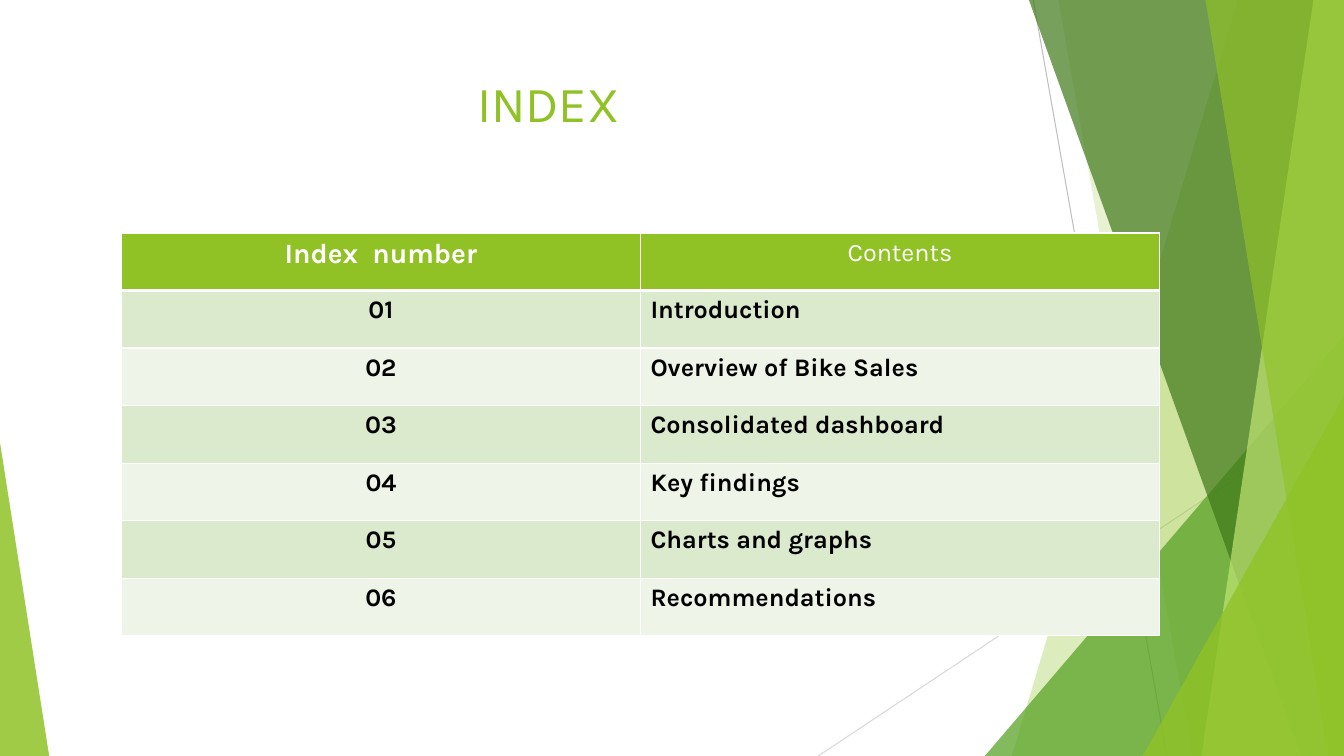
from dataclasses import dataclass

import pptx
import pptx.dml.color
import pptx.enum.shapes
import pptx.enum.text
import pptx.oxml
import pptx.oxml.ns
import pptx.util
from lxml import etree

Cm = pptx.util.Cm
Pt = pptx.util.Pt
qn = pptx.oxml.ns.qn
CENTER = pptx.enum.text.PP_ALIGN.CENTER
LEFT = pptx.enum.text.PP_ALIGN.LEFT


@dataclass(frozen=True)
class Theme:
    font: str = "Karla"
    lime: str = "90C226"
    pale_lime: str = "C0E474"
    green: str = "54A021"
    dark_green: str = "3F7819"
    band_dark: str = "DBE9CD"
    band_light: str = "EEF4E8"
    white: str = "FFFFFF"
    black: str = "000000"
    gray: str = "BFBFBF"
    light_gray: str = "D9D9D9"
    title_size: int = 36
    lead_size: int = 20
    body_size: int = 18


THEME = Theme()
WIDTH, HEIGHT = 33.87, 19.05

HEADERS = ["Index  number", "Contents"]
CONTENTS = [
    "Introduction",
    "Overview of Bike Sales",
    "Consolidated dashboard",
    "Key findings",
    "Charts and graphs",
    "Recommendations",
]


def rgb(color):
    return pptx.dml.color.RGBColor.from_string(color)


def paint(sp, color, opacity):
    """Give a shape a see-through fill, no line and no shadow."""
    sp.shadow.inherit = False
    sp.line.fill.background()
    sp.fill.solid()
    sp.fill.fore_color.rgb = rgb(color)
    clr = sp._element.spPr.find(qn("a:solidFill")).find(qn("a:srgbClr"))
    etree.SubElement(clr, qn("a:alpha"), val=str(opacity * 1000))


def add_panel(s, top_x, bottom_x, color, opacity):
    """Draw a full-height panel from a slanted left edge to the slide's right edge."""
    builder = s.shapes.build_freeform(Cm(top_x), 0)
    builder.add_line_segments([
        (Cm(WIDTH), 0),
        (Cm(WIDTH), Cm(HEIGHT)),
        (Cm(bottom_x), Cm(HEIGHT)),
    ])
    paint(builder.convert_to_shape(), color, opacity)


def add_corner(s, left, top, width, apex, color, opacity):
    """Draw a triangle that stands on the slide's bottom edge."""
    sp = s.shapes.add_shape(
        pptx.enum.shapes.MSO_SHAPE.ISOSCELES_TRIANGLE,
        Cm(left), Cm(top), Cm(width), Cm(HEIGHT - top),
    )
    sp.adjustments[0] = apex
    paint(sp, color, opacity)


def add_line(s, x1, y1, x2, y2, color):
    line = s.shapes.add_connector(
        pptx.enum.shapes.MSO_CONNECTOR.STRAIGHT, Cm(x1), Cm(y1), Cm(x2), Cm(y2)
    )
    line.line.color.rgb = rgb(color)
    line.line.width = Pt(0.75)
    etree.SubElement(line._element.spPr, qn("a:effectLst"))


def write(tf, text, size, color, bold=False, align=CENTER):
    tf.text = text
    p = tf.paragraphs[0]
    p.alignment = align
    font = p.runs[0].font
    font.name = THEME.font
    font.size = Pt(size)
    font.bold = bold
    font.color.rgb = rgb(color)


def add_title(s, text):
    tf = s.shapes.add_textbox(Cm(1.88), Cm(1.7), Cm(23.88), Cm(3.66)).text_frame
    tf.word_wrap = True
    write(tf, text, THEME.title_size, THEME.lime)


def style_cell(cell, fill, bottom_width=1):
    cell.fill.solid()
    cell.fill.fore_color.rgb = rgb(fill)
    widths = {"lnL": 1, "lnR": 1, "lnT": 1, "lnB": bottom_width}
    tc_pr = cell._tc.get_or_add_tcPr()
    for i, (side, width) in enumerate(widths.items()):
        ln = etree.Element(qn(f"a:{side}"), w=str(Pt(width)))
        solid = etree.SubElement(ln, qn("a:solidFill"))
        etree.SubElement(solid, qn("a:srgbClr"), val=THEME.white)
        tc_pr.insert(i, ln)


def add_index_table(s):
    rows = len(CONTENTS) + 1
    table = s.shapes.add_table(
        rows, 2, Cm(3.06), Cm(5.87), Cm(26.16), Cm(1.45 * rows)
    ).table
    for col, header in enumerate(HEADERS):
        cell = table.cell(0, col)
        style_cell(cell, THEME.lime, bottom_width=3)
        lead = col == 0
        size = THEME.lead_size if lead else THEME.body_size
        write(cell.text_frame, header, size, THEME.white, bold=lead)
    for row, content in enumerate(CONTENTS, start=1):
        fill = THEME.band_dark if row % 2 else THEME.band_light
        for col, (text, align) in enumerate([(f"{row:02d}", CENTER), (content, LEFT)]):
            cell = table.cell(row, col)
            style_cell(cell, fill)
            write(cell.text_frame, text, THEME.body_size, THEME.black, True, align)


def add_backdrop(s):
    add_line(s, 26.04, 0, 29.41, HEIGHT, THEME.gray)
    add_line(s, WIDTH, 10.24, 20.62, HEIGHT, THEME.light_gray)
    add_panel(s, 31.19, 25.5, THEME.lime, 30)
    add_panel(s, 26.67, 30.05, THEME.lime, 20)
    add_corner(s, 24.82, 8.46, 9.05, 1, THEME.green, 72)
    add_panel(s, 25.93, 32.79, THEME.dark_green, 70)
    add_panel(s, 33.1, 30.28, THEME.pale_lime, 70)
    add_panel(s, 30.38, 33.48, THEME.lime, 65)
    add_corner(s, 28.8, 9.98, 5.07, 1, THEME.lime, 80)
    add_corner(s, 0, 11.15, 1.24, 0, THEME.lime, 85)


def main():
    prs = pptx.Presentation()
    prs.slide_width = Cm(WIDTH)
    prs.slide_height = Cm(HEIGHT)
    s = prs.slides.add_slide(prs.slide_layouts[6])
    add_backdrop(s)
    add_title(s, "INDEX")
    add_index_table(s)
    prs.save("out.pptx")


if __name__ == "__main__":
    main()
